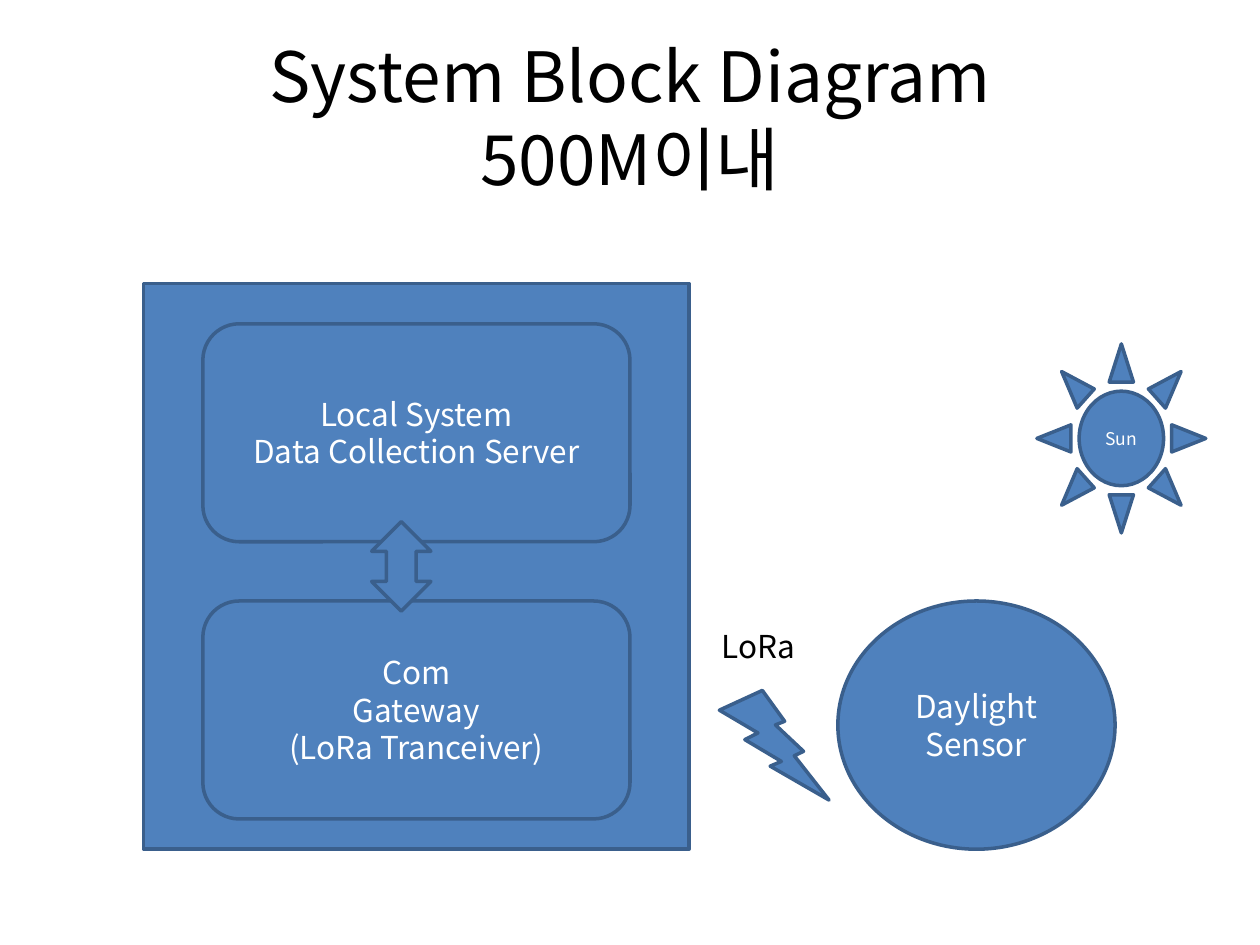
"""Build the system block diagram slide."""
import dataclasses

import lxml.etree
import pptx
import pptx.dml.color
import pptx.enum.shapes
import pptx.enum.text
import pptx.oxml.ns
import pptx.util

Inches = pptx.util.Inches
Pt = pptx.util.Pt
RGB = pptx.dml.color.RGBColor
SHAPE = pptx.enum.shapes.MSO_SHAPE
ALIGN = pptx.enum.text.PP_ALIGN
ANCHOR = pptx.enum.text.MSO_ANCHOR


@dataclasses.dataclass(frozen=True)
class Theme:
    """Hold the colours, type sizes and font of the slide."""

    font: str = "Noto Sans CJK KR"
    fill: RGB = RGB(0x4F, 0x81, 0xBD)
    outline: RGB = RGB(0x3A, 0x5F, 0x8C)
    light: RGB = RGB(0xFF, 0xFF, 0xFF)
    dark: RGB = RGB(0, 0, 0)
    title_size: float = 39.6
    body_size: float = 18
    small_size: float = 10
    outline_width: float = 2
    leading: float = 1.19


THEME = Theme()


def apply_format(target, values):
    """Set each named attribute of the target."""
    for attribute, value in values.items():
        setattr(target, attribute, value)


def write_lines(frame, lines, size, color, align=ALIGN.CENTER, anchor=ANCHOR.MIDDLE):
    """Fill a text frame with one paragraph for each line."""
    apply_format(frame, {"word_wrap": True, "vertical_anchor": anchor})
    frame.text = "\n".join(lines)
    for paragraph in frame.paragraphs:
        apply_format(paragraph, {
            "alignment": align,
            "line_spacing": Pt(size * THEME.leading),
        })
        for run in paragraph.runs:
            apply_format(run.font, {"size": Pt(size), "name": THEME.font})
            run.font.color.rgb = color
            east_asian = lxml.etree.SubElement(
                run.font._element, pptx.oxml.ns.qn("a:ea"))
            east_asian.set("typeface", THEME.font)


def add_block(slide, kind, box, lines=(), size=THEME.body_size):
    """Add a filled, outlined shape with optional centred text."""
    block = slide.shapes.add_shape(kind, *map(Inches, box))
    block.shadow.inherit = False
    block.fill.solid()
    block.fill.fore_color.rgb = THEME.fill
    block.line.color.rgb = THEME.outline
    block.line.width = Pt(THEME.outline_width)
    if lines:
        write_lines(block.text_frame, lines, size, THEME.light)


def add_label(slide, box, text, size, **placement):
    """Add dark text without a frame."""
    label = slide.shapes.add_textbox(*map(Inches, box))
    write_lines(label.text_frame, [text], size, THEME.dark, **placement)


def add_server_station(slide):
    """Add the station with its server, gateway and link between them."""
    add_block(slide, SHAPE.RECTANGLE, (1.14, 2.25, 4.33, 4.49))
    modules = (
        (4.77, ("Com", "Gateway", "(LoRa Tranceiver)")),
        (2.57, ("Local System", "Data Collection Server")),
    )
    for top, lines in modules:
        add_block(slide, SHAPE.ROUNDED_RECTANGLE, (1.61, top, 3.39, 1.73), lines)
    add_block(slide, SHAPE.UP_DOWN_ARROW, (2.95, 4.14, 0.47, 0.71))


def add_sensor_side(slide):
    """Add the sensor, the sun and the radio link."""
    add_block(slide, SHAPE.OVAL, (6.65, 4.77, 2.2, 1.97), ("Daylight", "Sensor"))
    add_block(slide, SHAPE.SUN, (8.23, 2.73, 1.34, 1.5), ("Sun",), THEME.small_size)
    add_block(slide, SHAPE.LIGHTNING_BOLT, (5.71, 5.48, 0.87, 0.87))
    add_label(slide, (5.63, 4.93, 1.02, 0.4), "LoRa", THEME.body_size,
              align=ALIGN.LEFT, anchor=ANCHOR.TOP)


def main():
    """Build and save the slide."""
    deck = pptx.Presentation()
    apply_format(deck, {"slide_width": Inches(10), "slide_height": Inches(7.5)})
    slide = deck.slides.add_slide(deck.slide_layouts[6])
    add_label(slide, (0.5, 0.3, 9, 1.25), "System Block Diagram\v500M이내",
              THEME.title_size)
    add_server_station(slide)
    add_sensor_side(slide)
    deck.save("out.pptx")


main()
